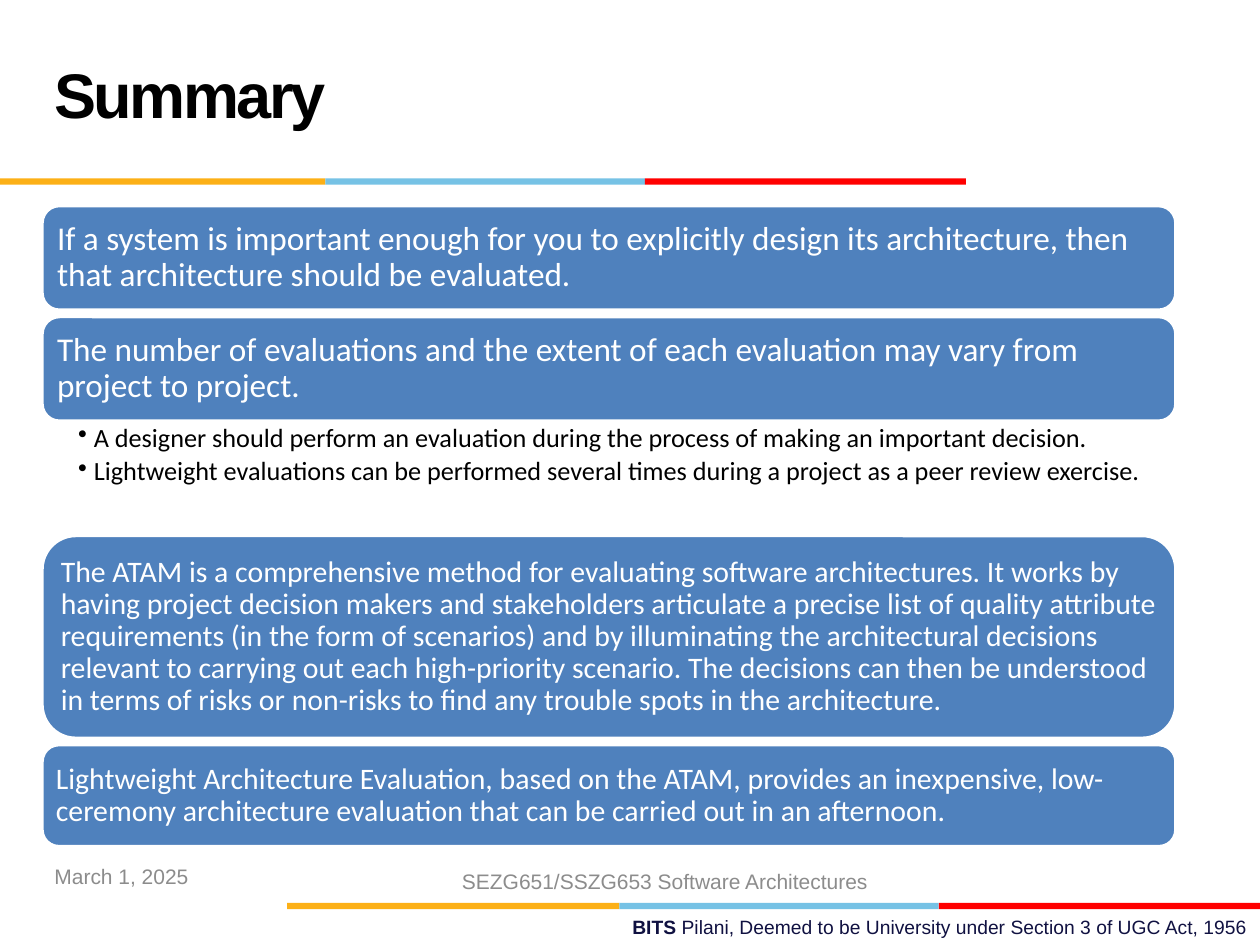
import pptx
import pptx.util
import pptx.dml.color
import pptx.enum.shapes
import pptx.enum.text
import pptx.oxml.ns
import lxml.etree

Pt = pptx.util.Pt
RGBColor = pptx.dml.color.RGBColor
SHAPES = pptx.enum.shapes.MSO_SHAPE
ANCHOR = pptx.enum.text.MSO_ANCHOR
ALIGN = pptx.enum.text.PP_ALIGN
qn = pptx.oxml.ns.qn

BLACK = RGBColor(0x00, 0x00, 0x00)
WHITE = RGBColor(0xFF, 0xFF, 0xFF)
BLUE = RGBColor(0x4F, 0x81, 0xBD)
GREY = RGBColor(0x8C, 0x8C, 0x8C)
NAVY = RGBColor(0x10, 0x11, 0x41)
GOLD = RGBColor(0xFC, 0xB0, 0x17)
SKY = RGBColor(0x76, 0xC2, 0xE5)
RED = RGBColor(0xFF, 0x00, 0x00)

MARGIN = 24
PANEL_WIDTH = 648
PANEL_GAP = 3.6

EVALUATION_PANELS = [
    (59.8, "If a system is important enough for you to explicitly design its "
           "architecture, then that architecture should be evaluated."),
    (59.8, "The number of evaluations and the extent of each evaluation may "
           "vary from project to project."),
]
EVALUATION_POINTS = [
    "A designer should perform an evaluation during the process of making an "
    "important decision.",
    "Lightweight evaluations can be performed several times during a project "
    "as a peer review exercise.",
]
METHOD_PANELS = [
    (115.9, "The ATAM is a comprehensive method for evaluating software "
            "architectures. It works by having project decision makers and "
            "stakeholders articulate a precise list of quality attribute "
            "requirements (in the form of scenarios) and by illuminating the "
            "architectural decisions relevant to carrying out each "
            "high-priority scenario. The decisions can then be understood in "
            "terms of risks or non-risks to find any trouble spots in the "
            "architecture."),
    (58.3, "Lightweight Architecture Evaluation, based on the ATAM, provides "
           "an inexpensive, low-ceremony architecture evaluation that can be "
           "carried out in an afternoon."),
]


def apply(target, values):
    for name, value in values.items():
        setattr(target, name, value)


def set_font(span, size, color, name="Arial", bold=False):
    apply(span.font, {"size": Pt(size), "name": name, "bold": bold})
    span.font.color.rgb = color


def set_frame(frame, insets, anchor):
    left, top, right, bottom = (Pt(inset) for inset in insets)
    apply(frame, {"word_wrap": True, "vertical_anchor": anchor,
                  "margin_left": left, "margin_top": top,
                  "margin_right": right, "margin_bottom": bottom})


def add_block(page, kind, left, top, width, height, fill):
    block = page.shapes.add_shape(
        kind, Pt(left), Pt(top), Pt(width), Pt(height))
    block.shadow.inherit = False
    block.fill.solid()
    block.fill.fore_color.rgb = fill
    block.line.fill.background()
    return block


def add_title(page, left, top, width, height):
    title = page.shapes.title
    apply(title, {"left": Pt(left), "top": Pt(top),
                  "width": Pt(width), "height": Pt(height)})
    frame = title.text_frame
    set_frame(frame, (7.2, 3.6, 7.2, 3.6), ANCHOR.MIDDLE)
    frame.auto_size = pptx.enum.text.MSO_AUTO_SIZE.NONE
    para = frame.paragraphs[0]
    apply(para, {"alignment": ALIGN.LEFT, "line_spacing": Pt(36)})
    span = para.add_run()
    span.text = "Summary"
    set_font(span, 36, BLACK, bold=True)
    span.font._element.set("spc", "-150")


def add_stripe(page, left, top, widths):
    for width, color in zip(widths, (GOLD, SKY, RED)):
        add_block(page, SHAPES.RECTANGLE, left, top, width, 3.6, color)
        left += width


def add_panels(page, left, top, width, panels, size, inset):
    """Stack rounded panels and return the bottom of the last one."""
    for height, text in panels:
        panel = add_block(page, SHAPES.ROUNDED_RECTANGLE,
                          left, top, width, height, BLUE)
        panel.line.color.rgb = WHITE
        panel.line.width = Pt(2)
        set_frame(panel.text_frame, [inset] * 4, ANCHOR.MIDDLE)
        para = panel.text_frame.paragraphs[0]
        apply(para, {"alignment": ALIGN.LEFT, "line_spacing": 0.9})
        span = para.add_run()
        span.text = text
        set_font(span, size, WHITE, "Calibri")
        top += height + PANEL_GAP
    return top - PANEL_GAP


def add_points(page, left, top, width, height):
    box = page.shapes.add_textbox(Pt(left), Pt(top), Pt(width), Pt(height))
    frame = box.text_frame
    set_frame(frame, (20.6, 1.9, 10.5, 1.9), ANCHOR.TOP)
    for index, text in enumerate(EVALUATION_POINTS):
        para = frame.add_paragraph() if index else frame.paragraphs[0]
        apply(para, {"level": 1, "line_spacing": 0.9, "space_after": Pt(3)})
        layout = para._p.get_or_add_pPr()
        layout.set("marL", str(Pt(9)))
        layout.set("indent", str(-Pt(9)))
        lxml.etree.SubElement(layout, qn("a:buChar")).set("char", "•")
        span = para.add_run()
        span.text = text
        set_font(span, 15, BLACK, "Calibri")


def add_label(page, left, top, width, height, alignment, size, color, parts):
    box = page.shapes.add_textbox(Pt(left), Pt(top), Pt(width), Pt(height))
    set_frame(box.text_frame, (7.2, 3.6, 7.2, 3.6), ANCHOR.MIDDLE)
    para = box.text_frame.paragraphs[0]
    para.alignment = alignment
    for text, bold in parts:
        span = para.add_run()
        span.text = text
        set_font(span, size, color, bold=bold)


def add_footer(page, top):
    add_label(page, MARGIN, top, 168, 28.8, ALIGN.LEFT, 12, GREY,
              [("March 1, 2025", False)])
    add_label(page, 250.5, top + 3, 259, 28.8, ALIGN.CENTER, 12, GREY,
              [("SEZG651/SSZG653 Software Architectures", False)])
    add_stripe(page, 164, top + 30, (190, 182.5, 183.5))
    add_label(page, 258, top + 33.2, 462, 20.6, ALIGN.RIGHT, 11, NAVY,
              [("BITS ", True),
               ("Pilani, Deemed to be University under Section 3 of UGC Act, "
                "1956", False)])


def main():
    deck = pptx.Presentation()
    apply(deck, {"slide_width": Pt(720), "slide_height": Pt(540)})
    page = deck.slides.add_slide(deck.slide_layouts.get_by_name("Title Only"))

    # Heading
    add_title(page, MARGIN, 12, 498, 90)
    add_stripe(page, 0, 102, (186, 182.5, 183.5))

    # Summary panels and points
    bottom = add_panels(page, MARGIN, 117.5, PANEL_WIDTH,
                        EVALUATION_PANELS, 19, 5.7)
    add_points(page, MARGIN, bottom, PANEL_WIDTH, 41)
    add_panels(page, MARGIN, 306, PANEL_WIDTH, METHOD_PANELS, 17, 5.1)

    # Footer
    add_footer(page, 486)
    deck.save("out.pptx")


if __name__ == "__main__":
    main()
